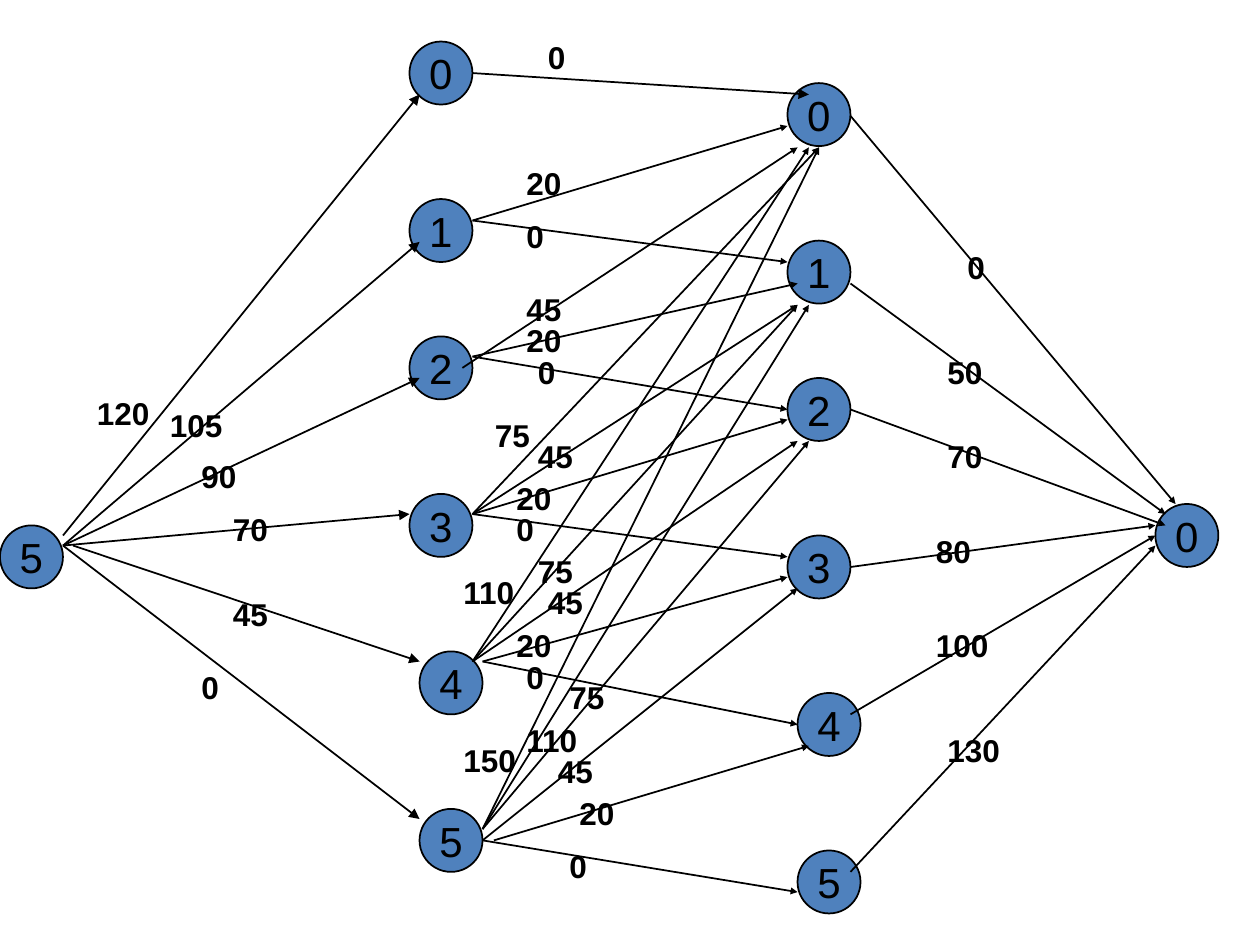
from dataclasses import dataclass

from lxml.etree import SubElement
from pptx import Presentation
from pptx.dml.color import RGBColor
from pptx.enum.shapes import MSO_CONNECTOR, MSO_SHAPE
from pptx.enum.text import MSO_ANCHOR, MSO_AUTO_SIZE, PP_ALIGN
from pptx.oxml.ns import qn
from pptx.util import Inches, Pt


@dataclass(frozen=True)
class Theme:
    node: RGBColor = RGBColor(0x4F, 0x81, 0xBD)
    ink: RGBColor = RGBColor(0, 0, 0)
    font: str = "Arial"
    node_size: Pt = Pt(24)
    cost_size: Pt = Pt(18)
    line: Pt = Pt(1)


THEME = Theme()
DIAMETER = 0.5
STATE_TOPS = (0.33, 1.58, 2.67, 3.92, 5.17, 6.42)
STATE_LEFTS = (3.25, 3.25, 3.25, 3.25, 3.33, 3.33)
STAGE_SHIFT = (3, 0.33)  # from the second column of states to the third

# Each edge: start, end, cost, top left of the cost label
FIRST_STAGE = [
    ((0.5, 4.25), (3.33, 0.75), 120, (0.67, 3.08)),
    ((0.5, 4.33), (3.33, 1.92), 105, (1.25, 3.17)),
    ((0.5, 4.33), (3.33, 3), 90, (1.5, 3.58)),
    ((0.5, 4.33), (3.25, 4.08), 70, (1.75, 4)),
    ((0.58, 4.33), (3.33, 5.25), 45, (1.75, 4.67)),
    ((0.5, 4.33), (3.33, 6.5), 0, (1.5, 5.25)),
]
ZERO_TO_ZERO = [((3.75, 0.58), (6.42, 0.75), 0, (4.25, 0.25))]
SECOND_STAGE = [
    # from state 1
    ((3.75, 1.75), (6.25, 1), 20, (4.08, 1.25)),
    ((3.75, 1.75), (6.25, 2.08), 0, (4.08, 1.67)),
    # from state 2
    ((3.67, 2.92), (6.33, 1.17), 45, (4.08, 2.25)),
    ((3.75, 2.83), (6.33, 2.25), 20, (4.08, 2.5)),
    ((3.75, 2.83), (6.25, 3.25), 0, (4.17, 2.75)),
    # from state 3
    ((3.75, 4.08), (6.5, 1.17), 75, (3.83, 3.25)),
    ((3.75, 4.08), (6.33, 2.42), 45, (4.17, 3.42)),
    ((3.75, 4.08), (6.25, 3.33), 20, (4, 3.75)),
    ((3.75, 4.08), (6.25, 4.42), 0, (4, 4)),
    # from state 4
    ((3.75, 5.25), (6.42, 1.17), 110, (3.58, 4.5)),
    ((3.75, 5.25), (6.33, 2.42), 75, (4.17, 4.33)),
    ((3.75, 5.25), (6.33, 3.5), 45, (4.25, 4.58)),
    ((3.83, 5.25), (6.25, 4.58), 20, (4, 4.92)),
    ((3.83, 5.25), (6.33, 5.75), 0, (4.08, 5.17)),
    # from state 5
    ((3.83, 6.58), (6.5, 1.17), 150, (3.58, 5.83)),
    ((3.83, 6.58), (6.42, 2.42), 110, (4.08, 5.67)),
    ((3.83, 6.58), (6.42, 3.5), 75, (4.42, 5.33)),
    ((3.83, 6.67), (6.33, 4.67), 45, (4.33, 5.92)),
    ((3.92, 6.67), (6.42, 5.92), 20, (4.5, 6.25)),
    ((3.83, 6.67), (6.33, 7.08), 0, (4.42, 6.67)),
]
LAST_STAGE = [
    ((6.75, 0.92), (9.33, 4), 0, (7.58, 1.92)),
    ((6.75, 2.25), (9.25, 4.08), 50, (7.42, 2.75)),
    ((6.75, 3.25), (9.25, 4.17), 70, (7.42, 3.42)),
    ((6.75, 4.5), (9.17, 4.17), 80, (7.33, 4.17)),
    ((6.75, 5.67), (9.17, 4.25), 100, (7.33, 4.92)),
    ((6.75, 6.92), (9.17, 4.33), 130, (7.42, 5.75)),
]


def set_text(tf, text, size, bold=False):
    p = tf.paragraphs[0]
    p.text = str(text)
    p.font.name = THEME.font
    p.font.size = size
    p.font.bold = bold
    p.font.color.rgb = THEME.ink
    return p


def add_node(s, state, left, top):
    sp = s.shapes.add_shape(MSO_SHAPE.OVAL, Inches(left), Inches(top),
                            Inches(DIAMETER), Inches(DIAMETER))
    sp.shadow.inherit = False
    sp.fill.solid()
    sp.fill.fore_color.rgb = THEME.node
    sp.line.color.rgb = THEME.ink
    sp.line.width = THEME.line
    tf = sp.text_frame
    tf.word_wrap = False
    tf.vertical_anchor = MSO_ANCHOR.MIDDLE
    set_text(tf, state, THEME.node_size).alignment = PP_ALIGN.CENTER


def add_arrow(s, start, end, head):
    """Draw an arrow; head is "sm" or "med"."""
    points = [Inches(v) for v in (*start, *end)]
    line = s.shapes.add_connector(MSO_CONNECTOR.STRAIGHT, *points)
    line.line.color.rgb = THEME.ink
    line.line.width = THEME.line
    SubElement(line.line._get_or_add_ln(), qn("a:tailEnd"),
               type="triangle", w=head, len=head)
    SubElement(line._element.spPr, qn("a:effectLst"))


def add_cost(s, cost, left, top):
    box = s.shapes.add_textbox(Inches(left), Inches(top), Inches(0.67), Inches(0.4))
    tf = box.text_frame
    tf.word_wrap = True
    tf.auto_size = MSO_AUTO_SIZE.SHAPE_TO_FIT_TEXT
    set_text(tf, cost, THEME.cost_size, bold=True)


def add_nodes(s):
    add_node(s, 5, 0, 4.17)
    for dx, dy in ((0, 0), STAGE_SHIFT):
        for state, (left, top) in enumerate(zip(STATE_LEFTS, STATE_TOPS)):
            add_node(s, state, left + dx, top + dy)
    add_node(s, 0, 9.17, 4)


def add_edges(s, edges, head):
    for start, end, cost, label_at in edges:
        add_arrow(s, start, end, head)
        add_cost(s, cost, *label_at)


def main():
    prs = Presentation()
    prs.slide_width, prs.slide_height = Inches(10), Inches(7.5)
    s = prs.slides.add_slide(prs.slide_layouts[6])
    add_nodes(s)
    add_edges(s, FIRST_STAGE + ZERO_TO_ZERO, "med")
    add_edges(s, SECOND_STAGE + LAST_STAGE, "sm")
    prs.save("out.pptx")


if __name__ == "__main__":
    main()
